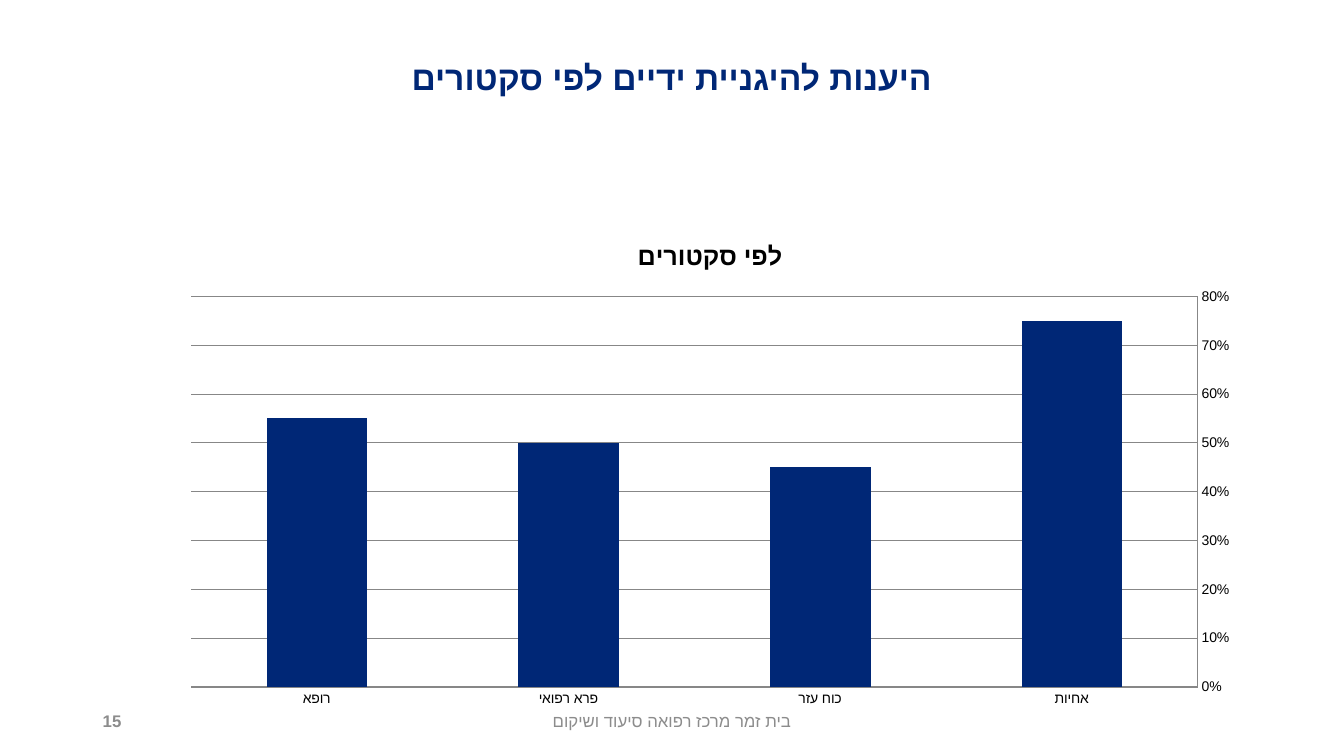
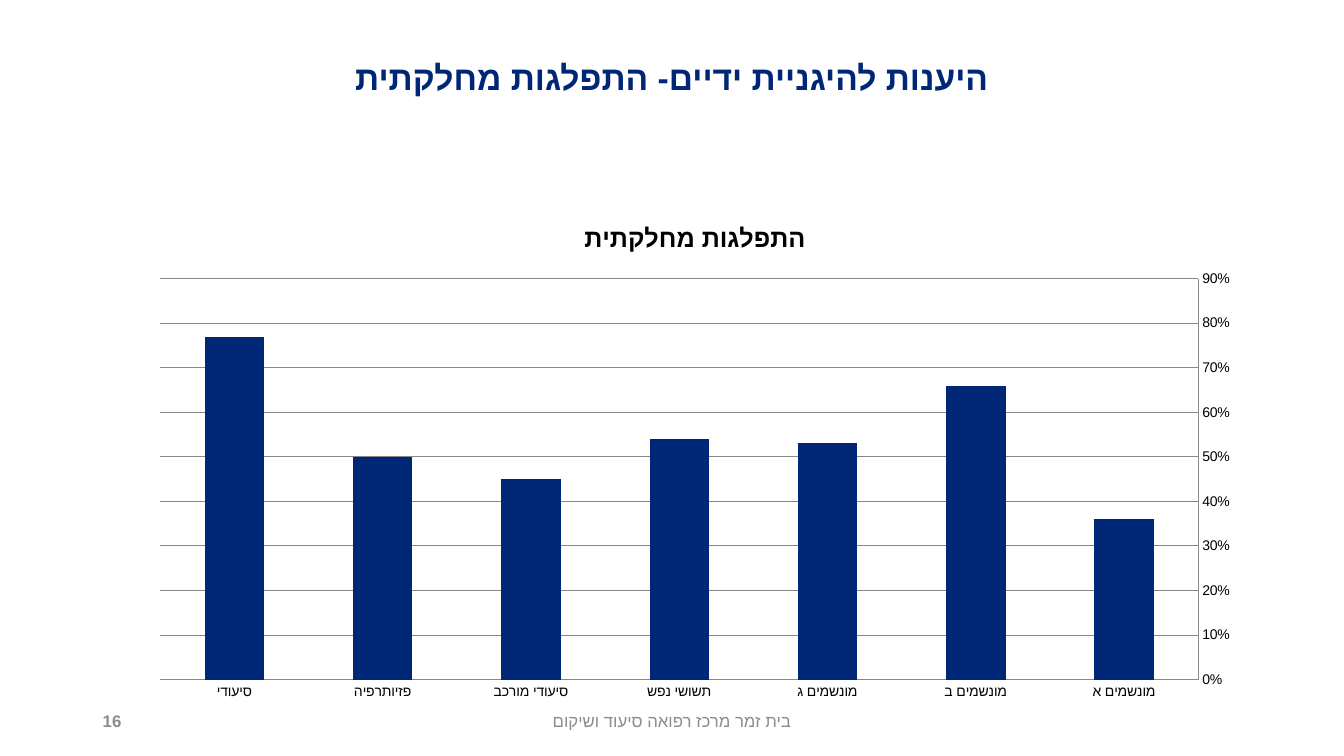
from lxml import etree
from pptx import Presentation
from pptx.chart.data import CategoryChartData
from pptx.dml.color import RGBColor
from pptx.enum import chart as ch, text
from pptx.oxml.ns import qn
from pptx.util import Cm, Pt

COLORS = {k: RGBColor.from_string(v) for k, v in {
    "navy": "002776", "footer": "8C8C8C", "black": "000000", "grid": "878787"}.items()}
FONT = "Arial"
FOOTER = "בית זמר מרכז רפואה סיעוד ושיקום"
SLIDES = [
    {"number": 15, "title": "היענות להיגניית ידיים לפי סקטורים",
     "chart": "לפי סקטורים", "box": (4.27, 5.54, 27.25, 12.52),
     "values": {"אחיות": 0.75, "כוח עזר": 0.45, "פרא רפואי": 0.5, "רופא": 0.55}},
    {"number": 16, "title": "היענות להיגניית ידיים- התפלגות מחלקתית",
     "chart": "התפלגות מחלקתית", "box": (3.48, 5.08, 28.07, 12.8),
     "values": {"מונשמים א": 0.36, "מונשמים ב": 0.66, "מונשמים ג": 0.53,
                "תשושי נפש": 0.54, "סיעודי מורכב": 0.45, "פזיותרפיה": 0.5,
                "סיעודי": 0.77}},
]


def style(font, size, color, bold=False):
    """Set the Latin and the Hebrew typeface, size, colour and weight."""
    font.size, font.bold, font.name = Pt(size), bold, FONT
    font.color.rgb = COLORS[color]
    etree.SubElement(font._rPr, qn("a:cs")).set("typeface", FONT)


def write(tf, words, align, size, color, bold=False, rtl=True):
    tf.word_wrap = True
    tf.vertical_anchor = text.MSO_ANCHOR.MIDDLE
    p = tf.paragraphs[0]
    p.text = words
    p.alignment = align
    if rtl:
        p._p.get_or_add_pPr().set("rtl", "1")
    style(p.font, size, color, bold)


prs = Presentation()
prs.slide_width, prs.slide_height = Cm(33.87), Cm(19.05)

for page in SLIDES:
    s = prs.slides.add_slide(prs.slide_layouts[5])

    title = s.shapes.title
    title.left, title.top, title.width, title.height = Cm(2.34), Cm(0.94), Cm(29.18), Cm(3)
    write(title.text_frame, page["title"], text.PP_ALIGN.CENTER, 24, "navy", True)
    title.text_frame.margin_bottom = Cm(1.14)

    data = CategoryChartData(number_format="0%")
    data.categories = list(page["values"])
    data.add_series(page["chart"], list(page["values"].values()))
    chart = s.shapes.add_chart(ch.XL_CHART_TYPE.COLUMN_CLUSTERED,
                               *map(Cm, page["box"]), data).chart
    style(chart.font, 10, "black")
    chart.has_legend = False
    chart.has_title = True
    write(chart.chart_title.text_frame, page["chart"], text.PP_ALIGN.CENTER, 18, "black", True)

    plot = chart.plots[0]
    plot.gap_width = 150
    plot.vary_by_categories = False
    fill = plot.series[0].format.fill
    fill.solid()
    fill.fore_color.rgb = COLORS["navy"]

    chart.category_axis.reverse_order = True
    chart.value_axis.minimum_scale = 0
    chart.value_axis.major_unit = 0.1
    chart.value_axis.tick_labels.number_format = "0%"
    chart.value_axis.tick_labels.number_format_is_linked = False
    for axis in (chart.category_axis, chart.value_axis):
        axis.major_tick_mark = ch.XL_TICK_MARK.NONE
        axis.format.line.color.rgb = COLORS["grid"]
    chart.value_axis.major_gridlines.format.line.color.rgb = COLORS["grid"]

    footer = s.shapes.add_textbox(Cm(11.22), Cm(17.66), Cm(11.43), Cm(1.01))
    write(footer.text_frame, FOOTER, text.PP_ALIGN.CENTER, 12, "footer")
    number = s.shapes.add_textbox(Cm(2.34), Cm(17.66), Cm(7.62), Cm(1.01))
    write(number.text_frame, str(page["number"]), text.PP_ALIGN.LEFT, 12, "footer", True, rtl=False)

prs.save("out.pptx")
